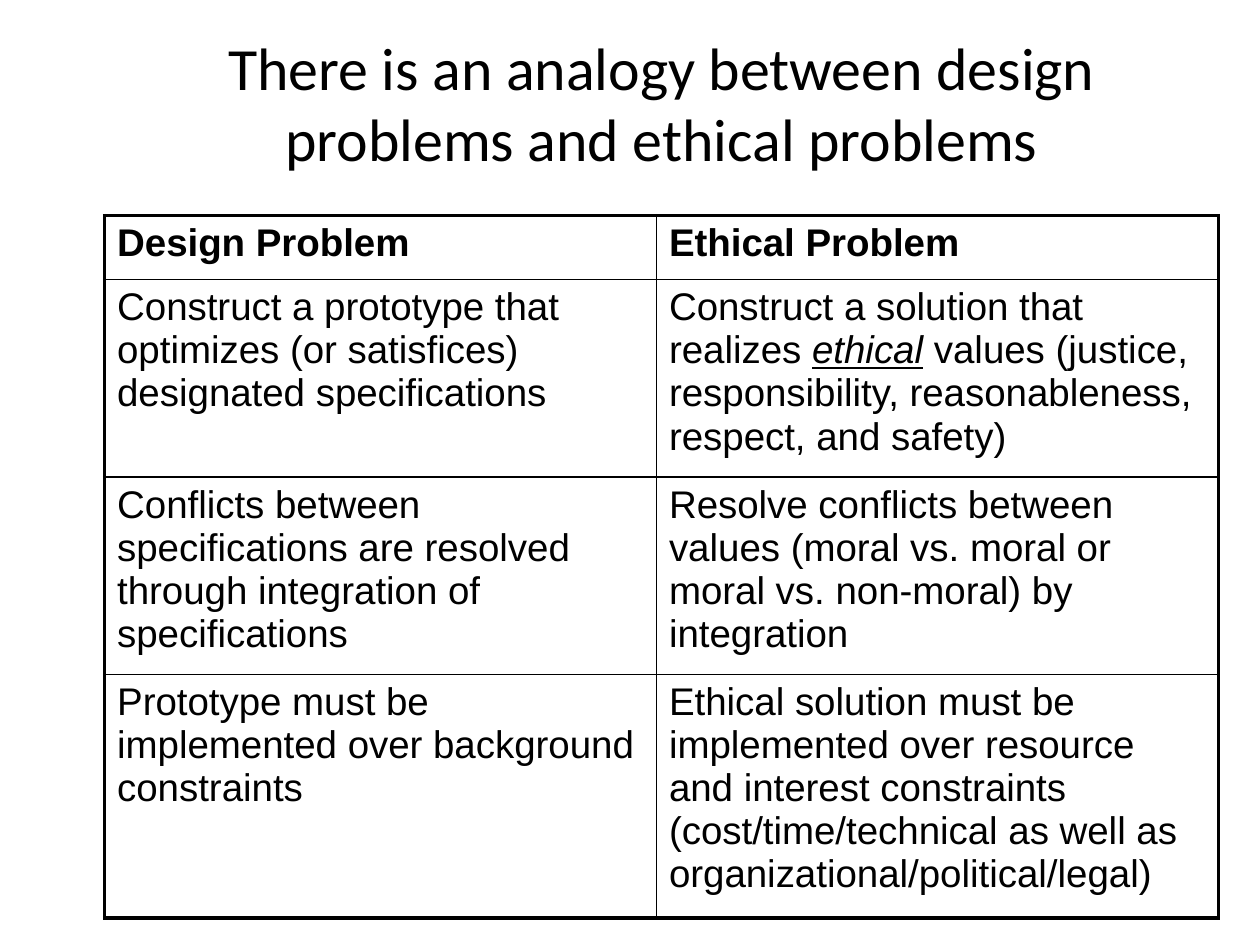
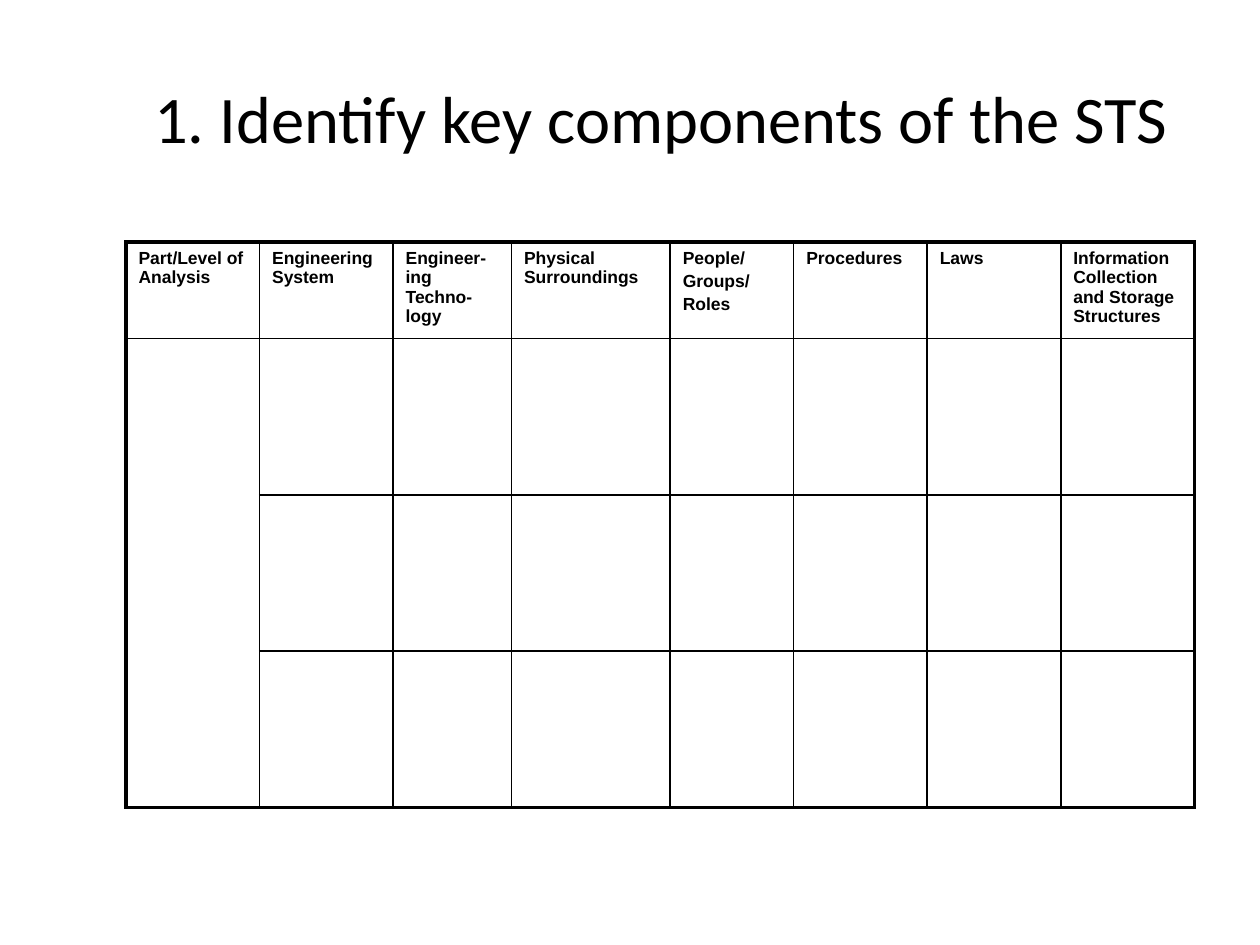
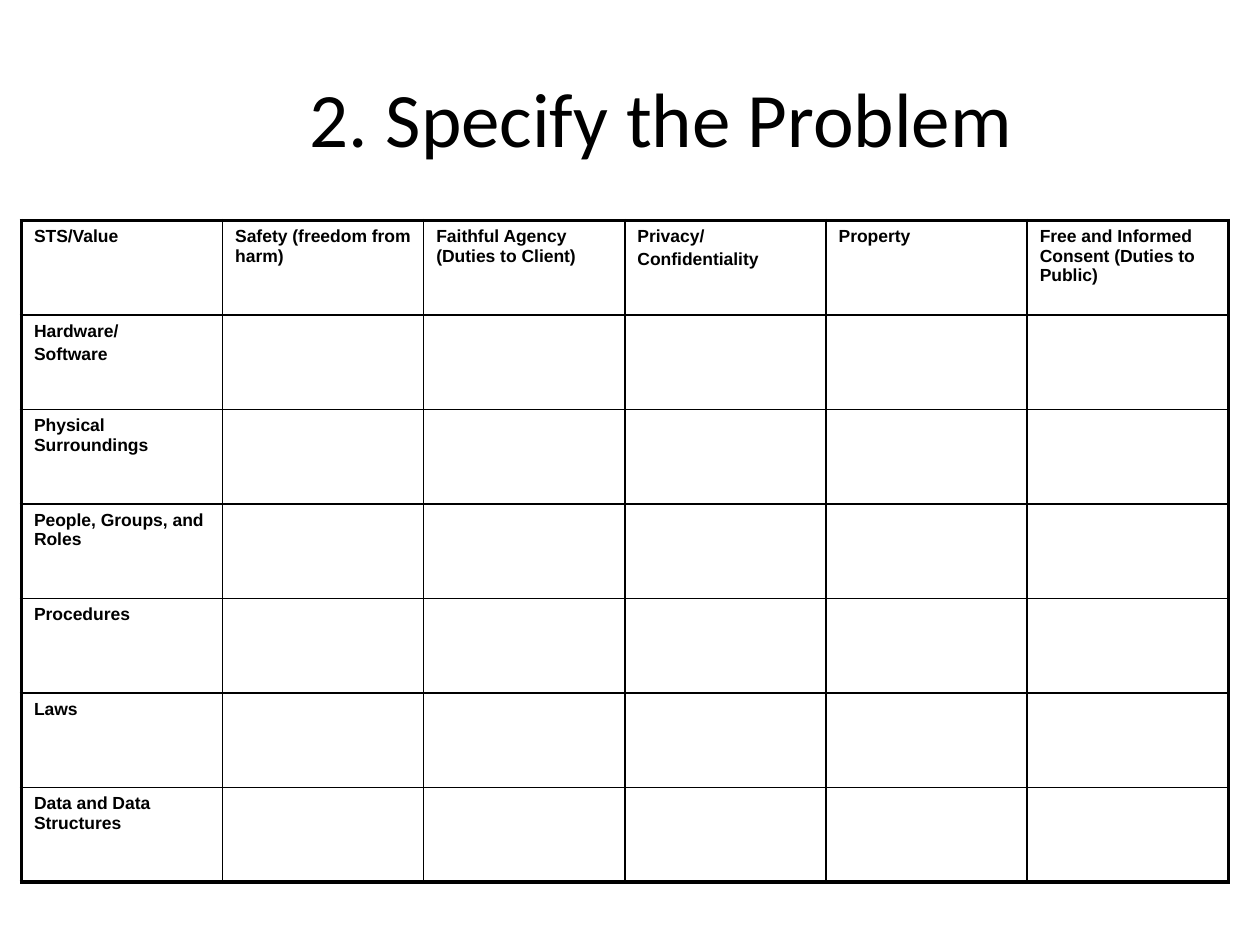
from lxml.etree import SubElement
from pptx import Presentation
from pptx.dml.color import RGBColor
from pptx.enum.text import MSO_ANCHOR, PP_ALIGN
from pptx.oxml.ns import qn
from pptx.util import Inches, Pt

COLORS = {"text": "000000", "border": "000000"}
FONTS = {"title": "Calibri", "table": "Arial"}
OUTER, INNER = 2.25, 1  # border widths in points
SPACE_BEFORE = 20  # percent of the line

ANALOGY = [
    ["Design Problem", "Ethical Problem"],
    ["Construct a prototype that optimizes (or satisfices) designated specifications",
     "Construct a solution that realizes *ethical* values (justice, responsibility, "
     "reasonableness, respect, and safety)"],
    ["Conflicts between specifications are resolved through integration of specifications",
     "Resolve conflicts between values (moral vs. moral or moral vs. non-moral) "
     "by integration"],
    ["Prototype must be implemented over background constraints",
     "Ethical solution must be implemented over resource and interest constraints "
     "(cost/time/technical as well as organizational/political/legal)"],
]
COMPONENTS = ["Part/Level of Analysis", "Engineering System", "Engineer-ing Techno-logy",
              "Physical Surroundings", "People/\nGroups/\nRoles", "Procedures", "Laws",
              "Information Collection and Storage Structures"]
VALUES = ["STS/Value", "Safety (freedom from harm)", "Faithful Agency (Duties to Client)",
          "Privacy/\nConfidentiality", "Property",
          "Free and Informed Consent (Duties to Public)"]
STS_PARTS = ["Hardware/\nSoftware", "Physical Surroundings", "People, Groups, and Roles",
             "Procedures", "Laws", "Data and Data Structures"]


def add_run(p, text, font, size, **formats):
    """Append a run with the given font formats."""
    r = p.add_run()
    r.text = text
    r.font.color.rgb = RGBColor.from_string(COLORS["text"])
    for name, value in {"name": font, "size": Pt(size), **formats}.items():
        setattr(r.font, name, value)


def add_title(s, text, size, top=0.3, height=1.25):
    """Add the centred slide title."""
    tf = s.shapes.add_textbox(Inches(1), Inches(top), Inches(8.5), Inches(height)).text_frame
    tf.word_wrap = True
    tf.vertical_anchor = MSO_ANCHOR.MIDDLE
    p = tf.paragraphs[0]
    p.alignment = PP_ALIGN.CENTER
    add_run(p, text, FONTS["title"], size)


def fill_cell(cell, text, size, bold):
    """Write one paragraph per line; text between asterisks is emphasised."""
    tf = cell.text_frame
    for i, line in enumerate(text.split("\n")):
        p = tf.add_paragraph() if i else tf.paragraphs[0]
        before = SubElement(p._p.get_or_add_pPr(), qn("a:spcBef"))
        SubElement(before, qn("a:spcPct"), val=str(SPACE_BEFORE * 1000))
        for j, part in enumerate(line.split("*")):
            emphasis = {"italic": True, "underline": True} if j % 2 else {}
            add_run(p, part, FONTS["table"], size, bold=bold, **emphasis)


def set_borders(cell, outer_sides):
    """Draw the four cell borders, thicker on the outer sides."""
    tc_pr = cell._tc.get_or_add_tcPr()
    for side in "LRTB":
        width = OUTER if side in outer_sides else INNER
        ln = SubElement(tc_pr, qn(f"a:ln{side}"), w=str(Pt(width)))
        fill = SubElement(ln, qn("a:solidFill"))
        SubElement(fill, qn("a:srgbClr"), val=COLORS["border"])


def add_grid(s, box, widths, heights, texts, size, bold_rows, merge_rows=None):
    """Add a framed table; merge_rows spans the first column over those rows."""
    n_rows, n_cols = len(heights), len(widths)
    frame = s.shapes.add_table(n_rows, n_cols, *map(Inches, box))
    table = frame.table
    table.first_row = table.horz_banding = False
    for column, width in zip(table.columns, widths):
        column.width = Inches(width)
    for row, height in zip(table.rows, heights):
        row.height = Inches(height)
    frame.height = Inches(box[3])
    if merge_rows:
        first, last = merge_rows
        table.cell(first, 0).merge(table.cell(last, 0))

    for r in range(n_rows):
        for c in range(n_cols):
            cell = table.cell(r, c)
            bottom = r + (cell.span_height if cell.is_merge_origin else 1)
            edges = {"L": c == 0, "R": c == n_cols - 1, "T": r == 0, "B": bottom == n_rows}
            set_borders(cell, [side for side, outer in edges.items() if outer])
            cell.fill.background()
            if r < len(texts) and c < len(texts[r]):
                fill_cell(cell, texts[r][c], size, r < bold_rows)


def add_analogy(s):
    """Compare design problems with ethical problems."""
    add_title(s, "There is an analogy between design problems and ethical problems",
              34.2, 0.17, 1.28)
    add_grid(s, (0.83, 1.71, 8.83, 5.57), [4.38, 4.46], [0.51, 1.49, 1.2, 1.79],
             ANALOGY, 22, bold_rows=1)


def add_components(s):
    """Show the empty grid for the components of the system."""
    add_title(s, "1. Identify key components of the STS", 38)
    widths = [1.06, 1.06, 0.94, 1.26, 0.98] + [1.06] * 3
    add_grid(s, (1, 1.92, 8.5, 4.48), widths, [0.5] + [1.24] * 3,
             [COMPONENTS], 10, bold_rows=1, merge_rows=(1, 3))


def add_problem(s):
    """Show the empty grid of system parts against values."""
    add_title(s, "2. Specify the Problem", 44)
    texts = [VALUES] + [[part] for part in STS_PARTS]
    n_rows, n_cols = len(texts), len(VALUES)
    add_grid(s, (0.17, 1.75, 9.58, 5.25), [9.58 / n_cols] * n_cols,
             [5.25 / n_rows] * n_rows, texts, 10, bold_rows=n_rows)


def main():
    """Build and save the presentation."""
    prs = Presentation()
    prs.slide_width, prs.slide_height = Inches(10), Inches(7.5)
    for build in (add_analogy, add_components, add_problem):
        build(prs.slides.add_slide(prs.slide_layouts[6]))
    prs.save("out.pptx")


main()
